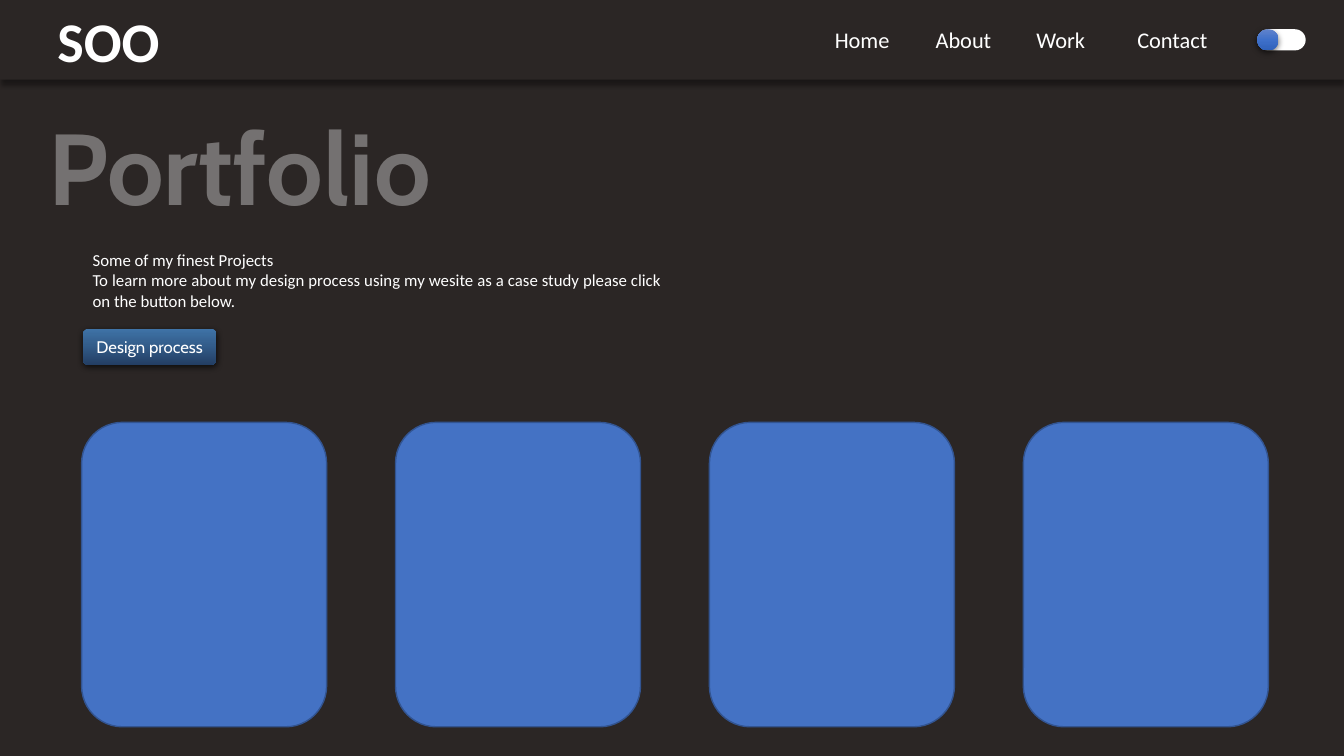
from dataclasses import dataclass

from lxml import etree
from pptx import Presentation
from pptx.dml.color import RGBColor
from pptx.enum.shapes import MSO_SHAPE
from pptx.enum.text import MSO_ANCHOR, MSO_AUTO_SIZE, PP_ALIGN
from pptx.oxml.ns import qn
from pptx.util import Inches, Pt

RECT, ROUND, OVAL = MSO_SHAPE.RECTANGLE, MSO_SHAPE.ROUNDED_RECTANGLE, MSO_SHAPE.OVAL
TOP, MIDDLE = MSO_ANCHOR.TOP, MSO_ANCHOR.MIDDLE
LEFT, CENTER, JUSTIFY = PP_ALIGN.LEFT, PP_ALIGN.CENTER, PP_ALIGN.JUSTIFY
FIT = MSO_AUTO_SIZE.SHAPE_TO_FIT_TEXT


@dataclass(frozen=True)
class Theme:
    dark: str = "2B2625"
    white: str = "FFFFFF"
    card: str = "4472C4"
    card_line: str = "325491"
    knob: tuple = ((0, "6183CB"), (50, "3E70CA"), (100, "3062BB"))
    button: tuple = ((0, "3F73A7"), (46, "335D8B"), (100, "233E63"))
    flat_shadow: tuple = (40, 4, 3)      # opacity %, blur pt, distance pt
    raised_shadow: tuple = (63, 4.5, 1.5)
    display: str = "Cabin"
    body: str = "Calibri"
    title_size: int = 72
    logo_size: int = 40
    nav_size: int = 16
    text_size: int = 12


THEME = Theme()
WIDTH, HEIGHT = 13.33, 7.5


def add_child(parent, tag, **attrs):
    return etree.SubElement(parent, qn(tag), {k: str(v) for k, v in attrs.items()})


def add_color(parent, color, opacity=None):
    clr = add_child(parent, "a:srgbClr", val=color)
    if opacity is not None:
        add_child(clr, "a:alpha", val=opacity * 1000)


def set_gradient(sp, stops):
    """Fill from top to bottom with (percent, colour) stops."""
    sp.fill.gradient()
    sp.fill.gradient_angle = 270
    stop_list = sp._element.spPr.find(qn("a:gradFill")).find(qn("a:gsLst"))
    for old in list(stop_list):
        stop_list.remove(old)
    for percent, color in stops:
        add_color(add_child(stop_list, "a:gs", pos=percent * 1000), color)


def add_box(slide, kind, box, fill, line=None, shadow=None):
    sp = slide.shapes.add_shape(kind, *map(Inches, box))
    if isinstance(fill, str):
        sp.fill.solid()
        sp.fill.fore_color.rgb = RGBColor.from_string(fill)
    else:
        set_gradient(sp, fill)
    if line:
        sp.line.color.rgb = RGBColor.from_string(line)
        sp.line.width = Pt(1)
    else:
        sp.line.fill.background()
    sp.shadow.inherit = False
    if shadow:
        opacity, blur, distance = shadow
        effects = sp._element.spPr.find(qn("a:effectLst"))
        outer = add_child(effects, "a:outerShdw", blurRad=Pt(blur), dist=Pt(distance),
                          dir=5400000, algn="t", rotWithShape=0)
        add_color(outer, "000000", opacity)
    return sp


def write(sp, *lines, size, font=THEME.body, bold=False, align=LEFT, anchor=TOP,
          opacity=None, tabs=()):
    tf = sp.text_frame
    tf.word_wrap = True
    tf.vertical_anchor = anchor
    for i, line in enumerate(lines):
        p = tf.add_paragraph() if i else tf.paragraphs[0]
        p.alignment = align
        if tabs:
            tab_list = add_child(p._p.get_or_add_pPr(), "a:tabLst")
            for stop in tabs:
                add_child(tab_list, "a:tab", pos=Inches(stop), algn="l")
        r = p.add_run()
        r.text = line
        r.font.name, r.font.size, r.font.bold = font, Pt(size), bold
        r.font.color.rgb = RGBColor.from_string(THEME.white)
        if opacity is not None:
            clr = r._r.rPr.find(qn("a:solidFill"))[0]
            add_child(clr, "a:alpha", val=opacity * 1000)


def add_text(slide, box, *lines, **style):
    sp = slide.shapes.add_textbox(*map(Inches, box))
    write(sp, *lines, **style)
    sp.text_frame.auto_size = FIT
    return sp


def add_menu(slide, box, labels, start, pitch=1):
    """Set the labels one pitch apart, from start inches inside the box."""
    stops = [pitch * i for i in range(1, len(labels))]
    sp = add_text(slide, box, "\t".join(labels), size=THEME.nav_size, anchor=MIDDLE, tabs=stops)
    sp.text_frame.margin_left = Inches(start)
    sp.text_frame.margin_right = 0


def add_toggle(slide, box):
    x, y, w, h = box
    track = add_box(slide, ROUND, box, THEME.white)
    track.adjustments[0] = 0.5
    add_box(slide, OVAL, (x, y, h, h), THEME.knob, shadow=THEME.raised_shadow)


def add_header(slide, box):
    x, y, w, h = box
    add_box(slide, RECT, box, THEME.dark, shadow=THEME.flat_shadow)
    add_text(slide, (x + 0.38, y + 0.01, 1.39, 0.77), "SOO",
             size=THEME.logo_size, bold=True, align=CENTER, anchor=MIDDLE)
    add_menu(slide, (x + 2.16, y + 0.21, 9.94, 0.37), ("Home", "About", "Work", "Contact"),
             start=6.12)
    add_toggle(slide, (x + w - 0.86, y + 0.29, 0.48, 0.21))


def add_intro(slide, box):
    x, y, w, h = box
    add_text(slide, (x, y, w, 1.31), "Portfolio", size=THEME.title_size,
             font=THEME.display, bold=True, opacity=34)
    indent = x + 0.44
    add_text(slide, (indent, y + 1.44, w - 0.02, 0.71),
             "Some of my finest Projects",
             "To learn more about my design process using my wesite as a case study "
             "please click on the button below.",
             size=THEME.text_size, align=JUSTIFY)
    button = add_box(slide, ROUND, (indent, y + h - 0.36, 1.33, 0.36), THEME.button,
                     shadow=THEME.raised_shadow)
    write(button, "Design process", size=THEME.text_size, font=THEME.display,
          align=CENTER, anchor=MIDDLE)


def add_project_cards(slide, box, count=4, card_width=2.43):
    x, y, w, h = box
    pitch = (w - card_width) / (count - 1)
    for i in range(count):
        add_box(slide, ROUND, (x + i * pitch, y, card_width, h), THEME.card, line=THEME.card_line)


def add_portfolio_slide(prs):
    slide = prs.slides.add_slide(prs.slide_layouts[6])
    add_box(slide, RECT, (0, 0, WIDTH, HEIGHT), THEME.dark, shadow=THEME.flat_shadow)
    add_intro(slide, (0.38, 0.99, 5.86, 2.63))
    add_header(slide, (0, 0, WIDTH, 0.79))
    add_project_cards(slide, (0.81, 4.19, 11.77, 3.02))


def main():
    prs = Presentation()
    prs.slide_width, prs.slide_height = Inches(WIDTH), Inches(HEIGHT)
    add_portfolio_slide(prs)
    prs.save("out.pptx")


if __name__ == "__main__":
    main()
